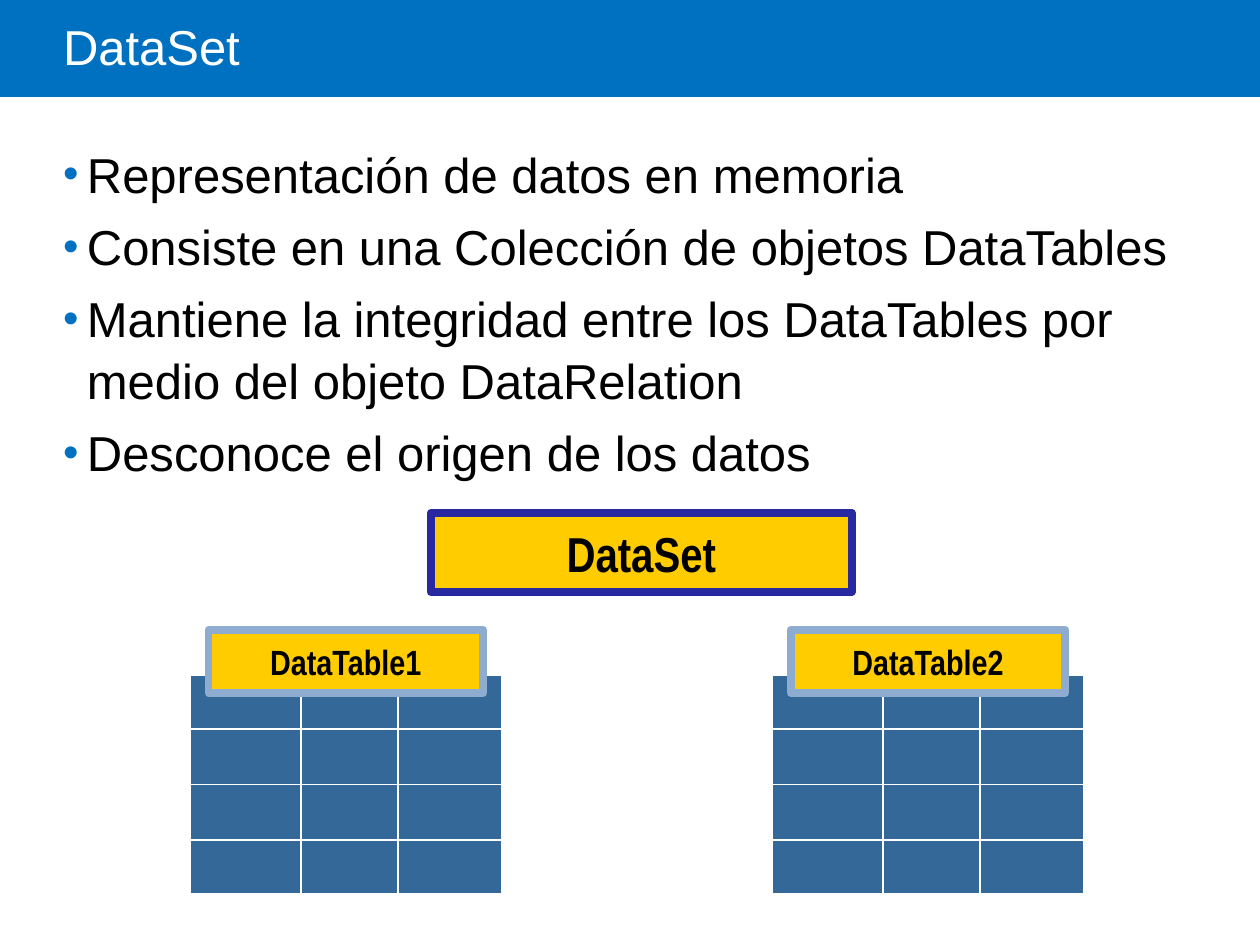
from itertools import accumulate, product
from lxml import etree
from pptx import Presentation
from pptx.dml.color import RGBColor
from pptx.enum.shapes import MSO_CONNECTOR, MSO_SHAPE
from pptx.enum.text import MSO_ANCHOR, PP_ALIGN
from pptx.oxml.ns import qn
from pptx.util import Inches, Pt

TITLE_ONLY = 5
BLUE, NAVY, STEEL, PALE = "0070C0", "2828A0", "346898", "8DACD0"
YELLOW, WHITE, BLACK = "FFCC00", "FFFFFF", "000000"


def color(hex_code):
    return RGBColor.from_string(hex_code)


def write(p, text, size=28, font="Arial", fill=BLACK, bold=False,
          align=PP_ALIGN.LEFT, spacing=None, before=None):
    r = p.add_run()
    r.text = text
    r.font.size, r.font.name, r.font.bold = Pt(size), font, bold
    r.font.color.rgb = color(fill)
    p.alignment, p.line_spacing = align, spacing
    if before is not None:
        p.space_before = Pt(before)


class Deck:
    """Holds the style and the current slide; lengths are grid units of 0.1 inch."""
    COLS, ROWS = 100, 75

    def __init__(self):
        self.prs = Presentation()
        self.prs.slide_width, self.prs.slide_height = Inches(10), Inches(7.5)
        self.s = self.prs.slides.add_slide(self.prs.slide_layouts[TITLE_ONLY])

    def x(self, cols):
        return round(self.prs.slide_width * cols / self.COLS)

    def y(self, rows):
        return round(self.prs.slide_height * rows / self.ROWS)

    def area(self, left, top, width, height):
        return self.x(left), self.y(top), self.x(width), self.y(height)

    def frame(self, sp, insets, anchor):
        tf = sp.text_frame
        tf.word_wrap, tf.vertical_anchor = True, anchor
        tf.margin_left, tf.margin_top, tf.margin_right, tf.margin_bottom = map(Inches, insets)
        return tf

    def title(self, text, *at):
        sp = self.s.shapes.title
        sp.left, sp.top, sp.width, sp.height = self.area(*at)
        tf = self.frame(sp, (0, 0.05, 0.1, 0.05), MSO_ANCHOR.MIDDLE)
        write(tf.paragraphs[0], text, fill=WHITE, spacing=0.85)

    def box(self, *at, fill, line=None, weight=0.75, text=None, size=20, parent=None):
        sp = (parent or self.s).shapes.add_shape(MSO_SHAPE.RECTANGLE, *self.area(*at))
        sp.shadow.inherit = False
        sp.fill.solid()
        sp.fill.fore_color.rgb = color(fill)
        if line:
            sp.line.color.rgb, sp.line.width = color(line), Pt(weight)
        else:
            sp.line.fill.background()
        if text:
            tf = self.frame(sp, (0.1, 0.05, 0.1, 0.05), MSO_ANCHOR.MIDDLE)
            write(tf.paragraphs[0], text, size=size, font="Arial Narrow",
                  bold=True, align=PP_ALIGN.CENTER)
        return sp

    def rule(self, x1, y1, x2, y2, weight, parent):
        c = parent.shapes.add_connector(MSO_CONNECTOR.STRAIGHT, self.x(x1), self.y(y1),
                                        self.x(x2), self.y(y2))
        c.line.color.rgb, c.line.width = color(WHITE), Pt(weight)
        etree.SubElement(c.element.spPr, qn("a:effectLst"))

    def bullets(self, items, *at):
        tf = self.frame(self.s.shapes.add_textbox(*self.area(*at)), (0,) * 4, MSO_ANCHOR.TOP)
        for i, item in enumerate(items):
            p = tf.add_paragraph() if i else tf.paragraphs[0]
            write(p, item, spacing=1.05, before=6)
            pPr = p._p.get_or_add_pPr()
            pPr.set("marL", str(Inches(0.19)))
            pPr.set("indent", str(-Inches(0.19)))
            clr = etree.SubElement(pPr, qn("a:buClr"))
            etree.SubElement(clr, qn("a:srgbClr"), val=BLUE)
            etree.SubElement(pPr, qn("a:buSzPct"), val="90000")
            etree.SubElement(pPr, qn("a:buFont"), typeface="Arial")
            etree.SubElement(pPr, qn("a:buChar"), char="•")

    def data_table(self, name, left, top=53.5, widths=(8.9, 7.7, 8.3), row=4.38, rows=4):
        group = self.s.shapes.add_group_shape()
        xs = list(accumulate(widths, initial=left))
        ys = [top + row * i for i in range(rows + 1)]
        # Cells
        for y, (x, w) in product(ys[:-1], zip(xs, widths)):
            self.box(x, y, w, row, fill=STEEL, line=WHITE, parent=group)
        # Rules, heavier on the outside
        for y in ys:
            self.rule(xs[0], y, xs[-1], y, 2.25 if y in (ys[0], ys[-1]) else 1, group)
        for x in xs:
            self.rule(x, ys[0], x, ys[-1], 2.25 if x in (xs[0], xs[-1]) else 1, group)
        # Name plate
        self.box(left + 1.55, top - 3.5, 21.8, 5, fill=YELLOW, line=PALE, weight=4.5,
                 text=name, parent=group)


def main():
    deck = Deck()

    # Title on its band
    band = deck.box(0, 0, 100, 7.7, fill=BLUE)
    deck.s.shapes.title.element.addprevious(band.element)
    deck.title("DataSet", 5, 0, 85, 8.1)

    # Key points
    deck.bullets([
        "Representación de datos en memoria",
        "Consiste en una Colección de objetos DataTables",
        "Mantiene la integridad entre los DataTables por medio del objeto DataRelation",
        "Desconoce el origen de los datos",
    ], 5, 11.2, 88.8, 56.3)

    # Diagram
    for name, left in (("DataTable1", 15), ("DataTable2", 61.2)):
        deck.data_table(name, left)
    deck.box(34.2, 40.7, 33.4, 6.3, fill=YELLOW, line=NAVY, weight=4.5,
             text="DataSet", size=28)

    deck.prs.save("out.pptx")


if __name__ == "__main__":
    main()
